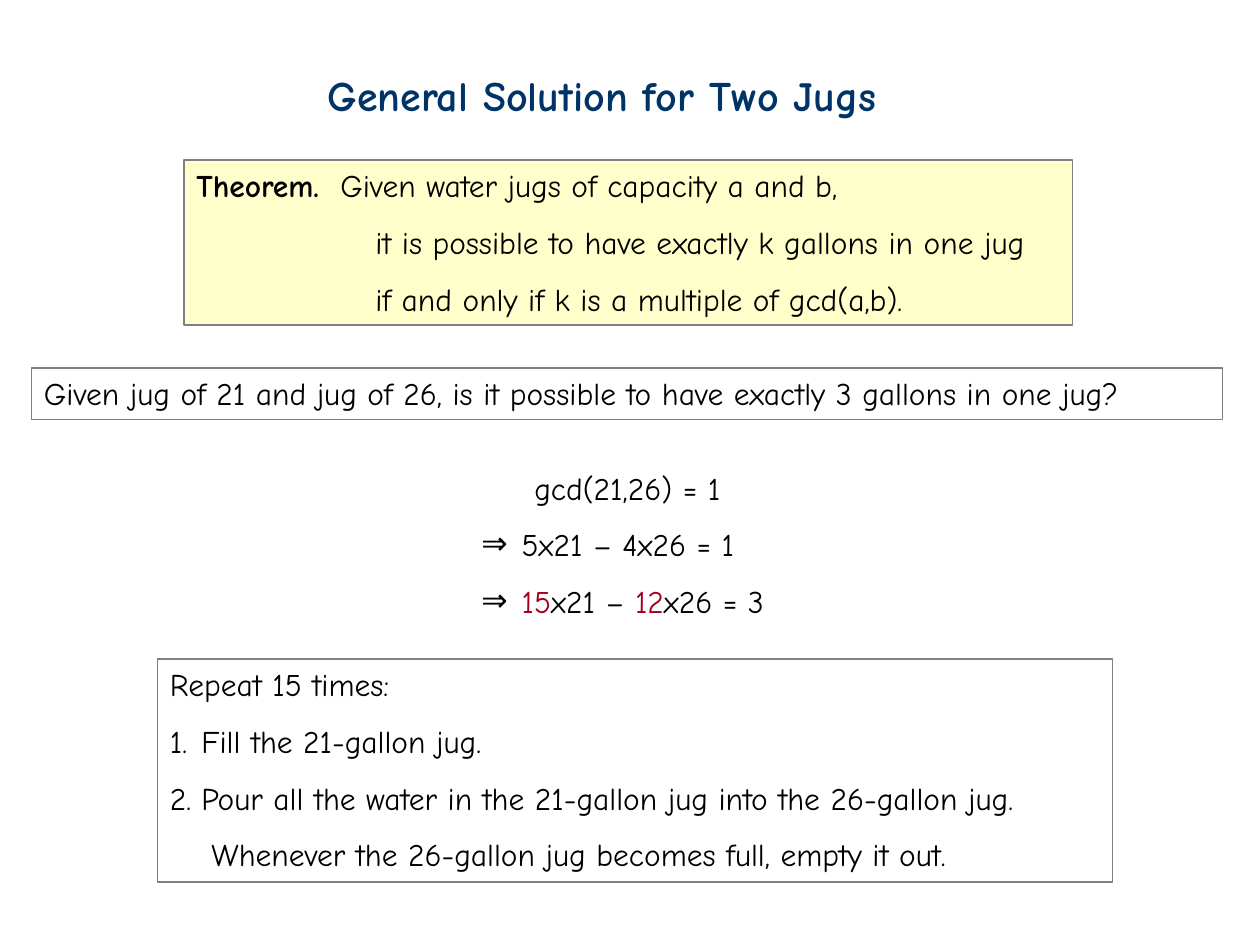
from dataclasses import dataclass

from lxml.etree import SubElement
from pptx import Presentation
from pptx.dml.color import RGBColor
from pptx.enum.shapes import MSO_SHAPE
from pptx.enum.text import MSO_ANCHOR, MSO_AUTO_SIZE, PP_ALIGN
from pptx.oxml.ns import qn
from pptx.util import Inches, Pt


@dataclass(frozen=True)
class Theme:
    font: str = "Comic Neue"
    title_size: int = 24
    body_size: int = 18
    line_spacing: float = 1.5
    title: str = "003366"
    text: str = "000000"
    accent: str = "A50021"
    border: str = "808080"
    highlight: str = "FFFFCC"


@dataclass(frozen=True)
class Line:
    """One paragraph: runs are (text, format) pairs, hang is the marker's width."""
    runs: tuple
    indent: float = 0
    hang: float = 0
    bullet: str = ""
    numbered: bool = False


THEME = Theme()
ACCENT = {"color": THEME.accent}


def plain(text, **layout):
    return Line(((text, {}),), **layout)


THEOREM = (
    Line((("Theorem.", {"bold": True}), ("  Given water jugs of capacity a and b,", {}))),
    plain("it is possible to have exactly k gallons in one jug", indent=1.42),
    plain("if and only if k is a multiple of gcd(a,b).", indent=1.42),
)
QUESTION = (
    plain("Given jug of 21 and jug of 26, is it possible to have exactly 3 gallons in one jug?"),
)
STEP = {"indent": 0.32, "hang": 0.32, "bullet": "⇒"}
DERIVATION = (
    plain("gcd(21,26) = 1", indent=0.42),
    plain("5x21 – 4x26 = 1", **STEP),
    Line((("15", ACCENT), ("x21 – ", {}), ("12", ACCENT), ("x26 = 3", {})), **STEP),
)
NUMBERED = {"indent": 0.25, "hang": 0.25, "numbered": True}
PROCEDURE = (
    plain("Repeat 15 times:"),
    plain("Fill the 21-gallon jug.", **NUMBERED),
    plain("Pour all the water in the 21-gallon jug into the 26-gallon jug.", **NUMBERED),
    plain("Whenever the 26-gallon jug becomes full, empty it out.", indent=0.33),
)


def set_marker(p, line):
    """Set the indent and the bullet, number or absence of either."""
    pPr = p._p.get_or_add_pPr()
    pPr.set("marL", str(Inches(line.indent)))
    pPr.set("indent", str(-Inches(line.hang)))
    if line.numbered:
        SubElement(pPr, qn("a:buAutoNum"), type="arabicPeriod")
    elif line.bullet:
        SubElement(SubElement(pPr, qn("a:buClr")), qn("a:srgbClr"), val=THEME.text)
        SubElement(pPr, qn("a:buFont"), typeface=THEME.font)
        SubElement(pPr, qn("a:buChar"), char=line.bullet)
    else:
        SubElement(pPr, qn("a:buNone"))


def add_run(p, text, size, color=THEME.text, bold=False):
    r = p.add_run()
    r.text = text
    for name, value in {"name": THEME.font, "size": Pt(size), "bold": bold}.items():
        setattr(r.font, name, value)
    r.font.color.rgb = RGBColor.from_string(color)


def write_lines(sp, lines, size=THEME.body_size):
    tf = sp.text_frame
    frame = {"word_wrap": True, "auto_size": MSO_AUTO_SIZE.NONE,
             "vertical_anchor": MSO_ANCHOR.TOP}
    for name, value in frame.items():
        setattr(tf, name, value)
    for i, line in enumerate(lines):
        p = tf.add_paragraph() if i else tf.paragraphs[0]
        set_marker(p, line)
        layout = {"alignment": PP_ALIGN.LEFT, "space_before": Pt(0),
                  "line_spacing": THEME.line_spacing if i else 1.0}
        for name, value in layout.items():
            setattr(p, name, value)
        for text, style in line.runs:
            add_run(p, text, size, **style)


def fill_placeholder(sp, box, lines, size=THEME.body_size):
    for name, value in zip(("left", "top", "width", "height"), box):
        setattr(sp, name, Inches(value))
    write_lines(sp, lines, size)


def add_panel(s, box, lines, fill=None):
    sp = s.shapes.add_shape(MSO_SHAPE.RECTANGLE, *map(Inches, box))
    sp.shadow.inherit = False
    if fill:
        sp.fill.solid()
        sp.fill.fore_color.rgb = RGBColor.from_string(fill)
    else:
        sp.fill.background()
    sp.line.color.rgb = RGBColor.from_string(THEME.border)
    sp.line.width = Pt(0.75)
    write_lines(sp, lines)


def main():
    prs = Presentation()
    prs.slide_width, prs.slide_height = Inches(10), Inches(7.5)
    s = prs.slides.add_slide(prs.slide_layouts[1])
    title = Line((("General Solution for Two Jugs", {"color": THEME.title, "bold": True}),))
    fill_placeholder(s.shapes.title, (2.5, 0.5, 5.09, 0.5), (title,), THEME.title_size)
    add_panel(s, (1.46, 1.27, 7.05, 1.31), THEOREM, THEME.highlight)
    add_panel(s, (0.25, 2.92, 9.45, 0.41), QUESTION)
    fill_placeholder(s.placeholders[1], (3.72, 3.67, 2.61, 1.3), DERIVATION)
    add_panel(s, (1.25, 5.23, 7.58, 1.77), PROCEDURE)
    prs.save("out.pptx")


if __name__ == "__main__":
    main()
